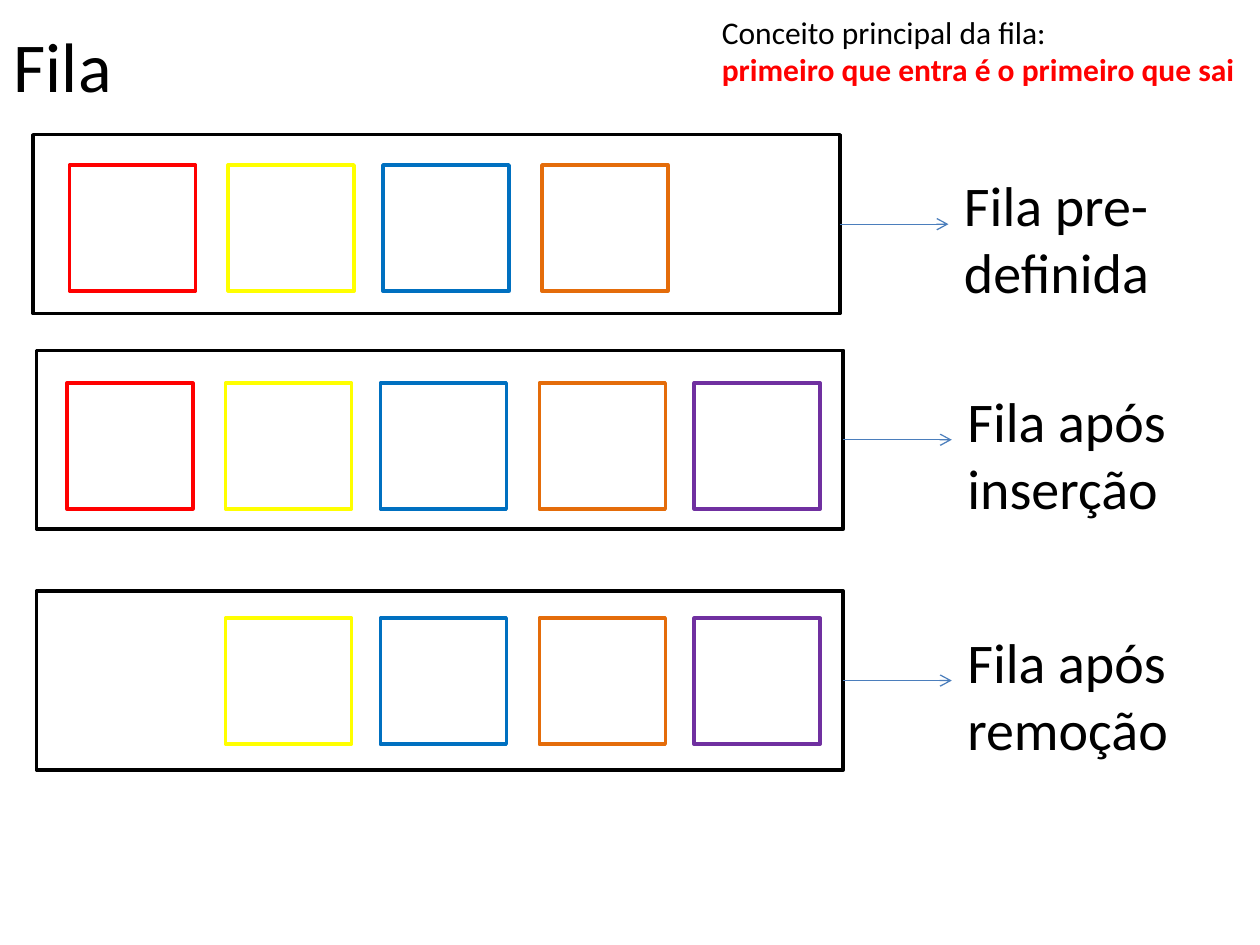
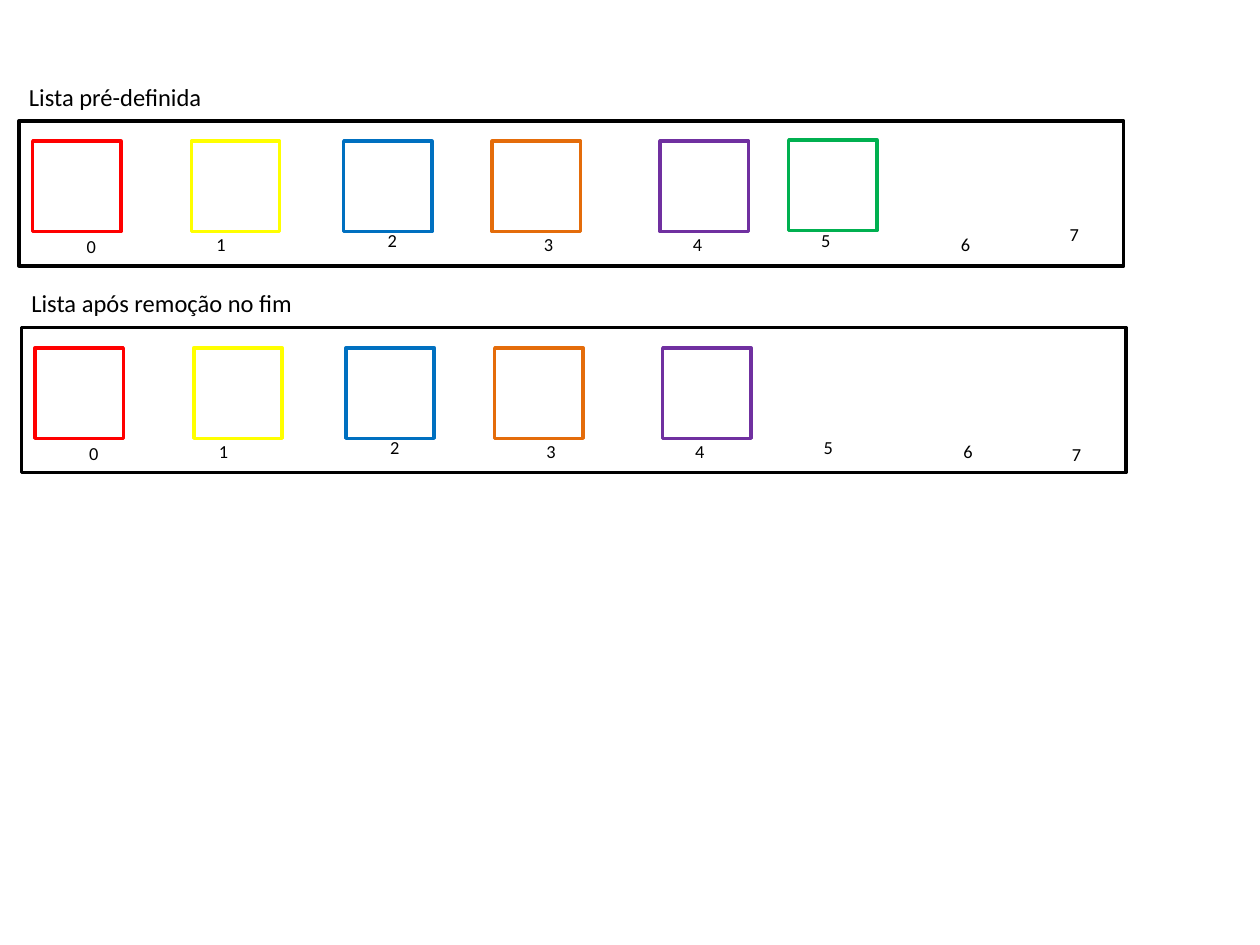
"""Builds two slides that show insertion and removal in a queue and in a list."""
from dataclasses import dataclass

from lxml import etree
from pptx import Presentation
from pptx.dml.color import RGBColor as RGB
from pptx.enum.shapes import MSO_CONNECTOR as LINE, MSO_SHAPE as SHAPE
from pptx.enum.text import MSO_ANCHOR as ANCHOR, MSO_AUTO_SIZE as FIT, PP_ALIGN as ALIGN
from pptx.oxml.ns import qn
from pptx.util import Pt


@dataclass(frozen=True)
class Theme:
    font: str = "Calibri"
    black: str = "000000"
    red: str = "FF0000"
    yellow: str = "FFFF00"
    blue: str = "0070C0"
    orange: str = "E46C0A"
    purple: str = "7030A0"
    green: str = "00B050"
    arrow: str = "4B7EBC"
    title: float = 40
    state: float = 32
    concept: float = 18
    caption: float = 14
    index: float = 10.5
    outline: float = 2
    arrow_width: float = 0.75


T = Theme()


def add_text(s, lines, at, size, holder=None, wrap=True, colors=(T.black,), bolds=(False,)):
    sp = holder or s.shapes.add_textbox(0, 0, 0, 0)
    sp.left, sp.top, sp.width, sp.height = map(Pt, at)
    tf = sp.text_frame
    tf.word_wrap = wrap
    tf.auto_size = FIT.SHAPE_TO_FIT_TEXT
    tf.vertical_anchor = ANCHOR.TOP
    p = tf.paragraphs[0]
    p.alignment = ALIGN.LEFT
    for i, (line, color, bold) in enumerate(zip(lines, colors, bolds)):
        if i:
            p.add_line_break()
        r = p.add_run()
        r.text = line
        r.font.name, r.font.size, r.font.bold = T.font, Pt(size), bold
        r.font.color.rgb = RGB.from_string(color)


def add_box(s, x, y, w, h, color):
    sp = s.shapes.add_shape(SHAPE.RECTANGLE, Pt(x), Pt(y), Pt(w), Pt(h))
    sp.shadow.inherit = False
    sp.fill.background()
    sp.line.color.rgb = RGB.from_string(color)
    sp.line.width = Pt(T.outline)


prs = Presentation()
prs.slide_width, prs.slide_height = Pt(720), Pt(540)

s = prs.slides.add_slide(prs.slide_layouts[5])
add_text(s, ["Fila"], (0.7, 9.4, 129, 55.4), T.title, holder=s.shapes.title)
add_text(s, ["Conceito principal da fila:", "primeiro que entra é o primeiro que sai"],
         (405.4, 3.6, 308.9, 51), T.concept, wrap=False,
         colors=(T.black, T.red), bolds=(False, True))

queue_w, queue_h, cell = 461, 102.2, 72
slots = {T.red: 38.2, T.yellow: 128.9, T.blue: 217.4, T.orange: 308.2, T.purple: 396.7}
colors = list(slots)
queues = [
    ("Fila pre-definida", 19, 77, 94.3, 1.5, colors[:4]),
    ("Fila após inserção", 20.9, 200.2, 218.9, 0, colors),
    ("Fila após remoção", 20.9, 337.8, 353.3, 0, colors[1:]),
]
for state, x, y, cell_y, shift, held in queues:
    add_box(s, x, y, queue_w, queue_h, T.black)
    for color in held:
        add_box(s, slots[color] + shift, cell_y, cell, cell, color)
    start, middle = x + queue_w, y + queue_h / 2
    arrow = s.shapes.add_connector(LINE.STRAIGHT, Pt(start), Pt(middle), Pt(start + 62), Pt(middle))
    arrow.line.color.rgb = RGB.from_string(T.arrow)
    arrow.line.width = Pt(T.arrow_width)
    etree.SubElement(arrow.line._get_or_add_ln(), qn("a:tailEnd"), type="arrow")
    etree.SubElement(arrow._element.spPr, qn("a:effectLst"))
    add_text(s, [state], (x + 524.8, y + 17, 194.4, 85), T.state)

s = prs.slides.add_slide(prs.slide_layouts[6])
list_w, list_h, cell_w, cell_h = 631.4, 82.8, 50.4, 51.8
cells = [(T.red, 7.9, 11.5), (T.yellow, 98.6, 11.5), (T.blue, 185.6, 11.5),
         (T.orange, 270.5, 11.5), (T.purple, 366.5, 11.5), (T.green, 439.9, 10.8)]
index_xs = [31.7, 105.8, 203.6, 293, 378, 451.4, 531.2, 593.3]
index_ys = [62, 60.5, 58.3, 60.5, 60.5, 58.3, 60.5]
lists = [
    ("Lista pré-definida", 10.8, 69.1, 146, cells, 54.7),
    ("Lista após remoção no fim", 12.2, 187.2, 353.5, cells[:-1], 62.6),
]
for caption, x, y, caption_w, held, last_y in lists:
    add_text(s, [caption], (x - 1.4, y - 25.9, caption_w, 24.5), T.caption)
    add_box(s, x, y, list_w, list_h, T.black)
    for color, dx, dy in held:
        add_box(s, x + dx, y + dy, cell_w, cell_h, color)
    for i, (dx, dy) in enumerate(zip(index_xs, index_ys + [last_y])):
        add_text(s, [str(i)], (x + dx, y + dy, 21.6, 20.2), T.index)

prs.save("out.pptx")
